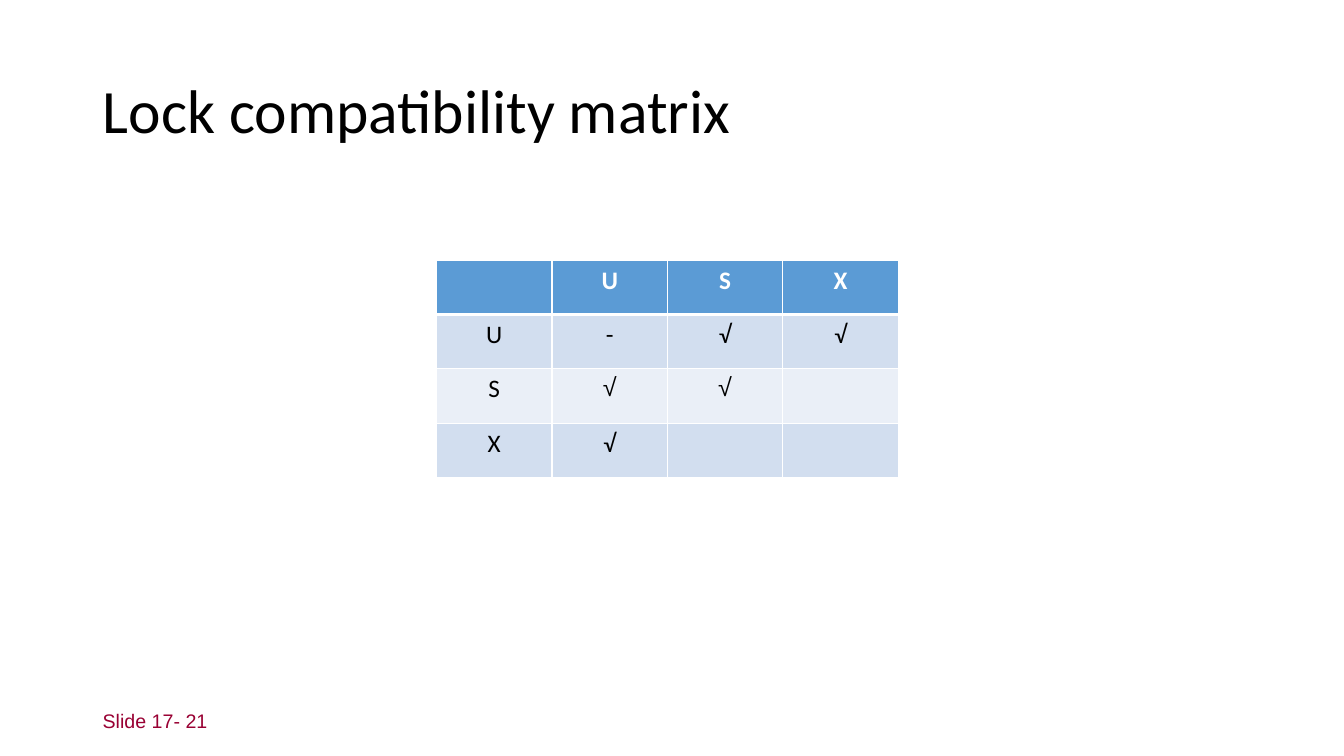
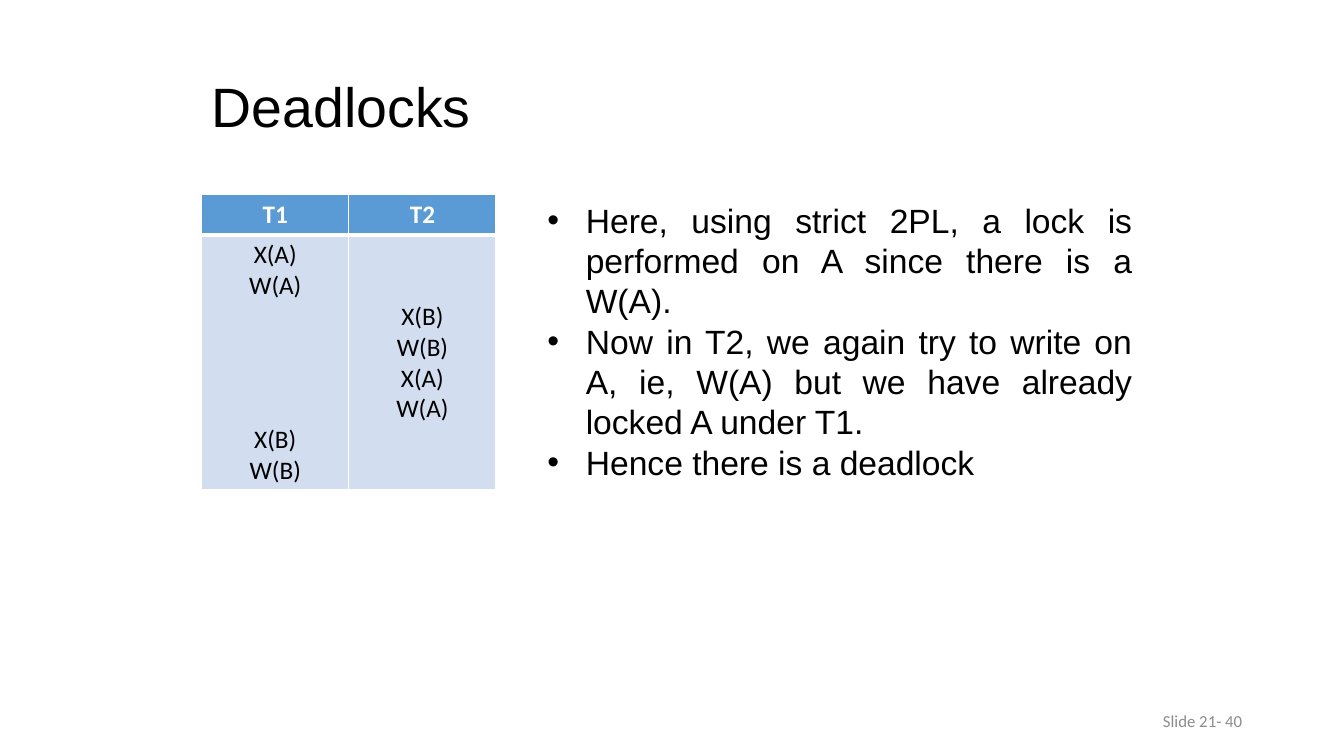
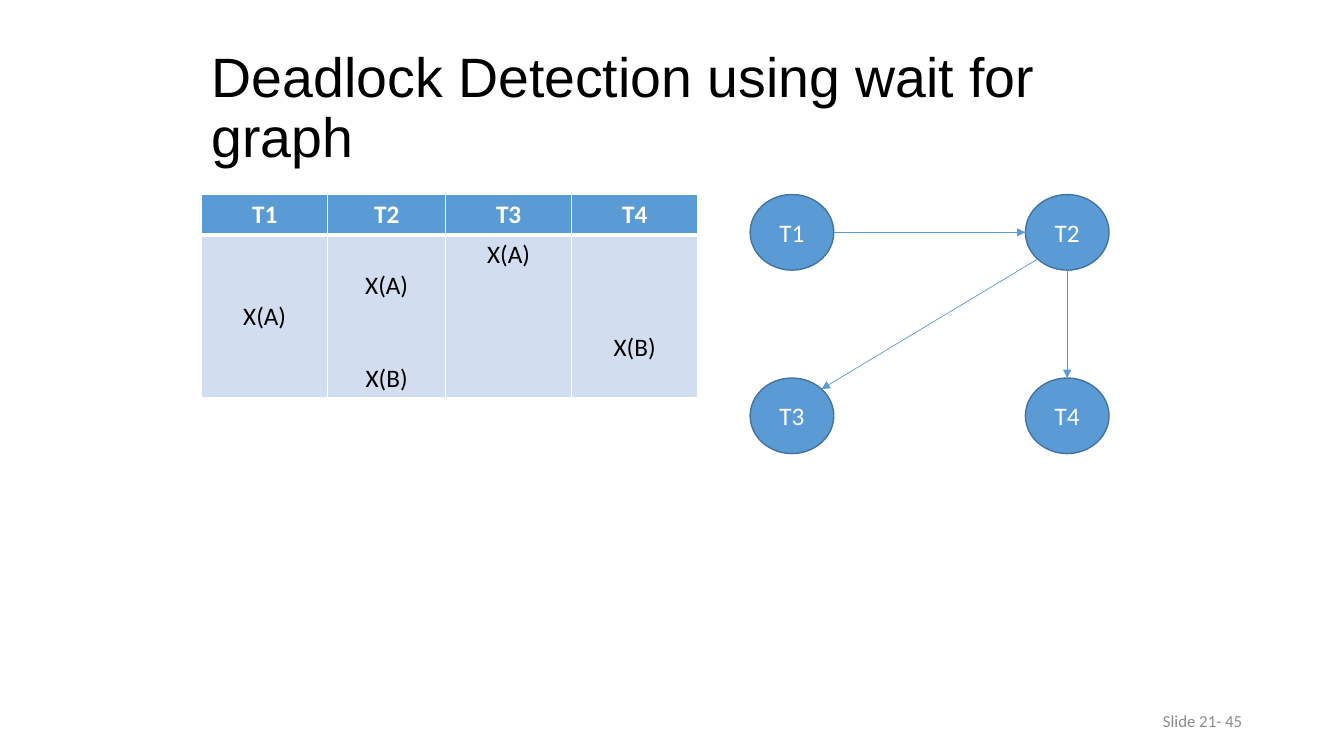
import math
from dataclasses import dataclass

from lxml import etree
from pptx import Presentation
from pptx.dml.color import RGBColor
from pptx.enum import shapes, text
from pptx.oxml import ns
from pptx.util import Inches, Pt


@dataclass(frozen=True)
class Theme:
    black: str = "000000"
    white: str = "FFFFFF"
    blue: str = "5B9BD5"
    outline: str = "43739E"
    dark_band: str = "D2DEEF"
    light_band: str = "EAEFF7"
    maroon: str = "990033"
    grey: str = "8C8C8C"
    sans: str = "Calibri"
    plain: str = "Arial"
    table_size: float = 18
    body_size: float = 24
    table_line: float = 22


theme = Theme()
Align = text.PP_ALIGN
Anchor = text.MSO_ANCHOR


def write(frame, lines, size=theme.table_size, font=theme.sans, color=theme.black,
          bold=False, align=Align.LEFT, anchor=Anchor.TOP, spacing=1.0,
          bullet=None, gaps=()):
    """Fill a text frame with one paragraph per line; gaps are points before each line."""
    frame.word_wrap = True
    frame.vertical_anchor = anchor
    for index, line in enumerate(lines):
        para = frame.paragraphs[0] if index == 0 else frame.add_paragraph()
        para.alignment = align
        para.line_spacing = spacing
        para.space_before = Pt(gaps[index] if gaps else 0)
        if bullet:
            props = para._p.get_or_add_pPr()
            props.set("marL", str(Inches(0.38)))
            props.set("indent", str(-Inches(0.38)))
            etree.SubElement(props, ns.qn("a:buFont"), typeface=theme.plain)
            etree.SubElement(props, ns.qn("a:buChar"), char=bullet)
        span = para.add_run()
        span.text = line
        span.font.size = Pt(size)
        span.font.name = font
        span.font.bold = bold
        span.font.color.rgb = RGBColor.from_string(color)


def add_grid(page, left, top, widths, heights, headings):
    """Add a banded table with white rules and a heading row."""
    frame = page.shapes.add_table(len(heights), len(widths), Inches(left), Inches(top),
                                  Inches(sum(widths)), Inches(sum(heights)))
    table = frame.table
    for column, width in zip(table.columns, widths):
        column.width = Inches(width)
    for number, (row, height) in enumerate(zip(table.rows, heights)):
        row.height = Inches(height)
        band = theme.dark_band if number % 2 else theme.light_band
        for cell in row.cells:
            cell.fill.solid()
            cell.fill.fore_color.rgb = RGBColor.from_string(band if number else theme.blue)
            for place, side in enumerate("LRTB"):
                thick = (number, side) in ((0, "B"), (1, "T"))
                rule = etree.Element(ns.qn(f"a:ln{side}"), w=str(Pt(3 if thick else 1)))
                fill = etree.SubElement(rule, ns.qn("a:solidFill"))
                etree.SubElement(fill, ns.qn("a:srgbClr"), val=theme.white)
                cell._tc.get_or_add_tcPr().insert(place, rule)
    for cell, heading in zip(table.rows[0].cells, headings):
        if heading:
            write(cell.text_frame, [heading], color=theme.white, bold=True, align=Align.CENTER)
    return table


deck = Presentation()
deck.slide_width, deck.slide_height = Inches(13.33), Inches(7.5)
TITLE_AND_BODY, TITLE_ONLY = deck.slide_layouts[1], deck.slide_layouts[5]

# Titles and footers
wide_title = dict(box=(0.92, 0.4, 11.5, 1.45), size=44, font=theme.sans, spacing=0.9)
inner_title = dict(box=(2, 0.76, 9.33, 0.64), size=39.6, font=theme.plain, spacing=Pt(43))
left_footer = dict(box=(0.92, 6.95, 3, 0.4), size=14, font=theme.plain, color=theme.maroon)
right_footer = dict(box=(9.42, 6.95, 3, 0.4), size=12, color=theme.grey, align=Align.RIGHT)
outline = [
    (TITLE_ONLY, "Lock compatibility matrix", wide_title, "Slide 17- 21", left_footer),
    (TITLE_AND_BODY, "Deadlocks", inner_title, "Slide 21- 40", right_footer),
    (TITLE_ONLY, "Deadlock Detection using wait for graph", inner_title,
     "Slide 21- 45", right_footer),
]
pages = []
for layout, title, title_style, footer, footer_style in outline:
    page = deck.slides.add_slide(layout)
    footer_box = page.shapes.add_textbox(*map(Inches, footer_style["box"]))
    title_box = page.shapes.title
    title_box.left, title_box.top, title_box.width, title_box.height = map(
        Inches, title_style["box"])
    title_box.text_frame.auto_size = text.MSO_AUTO_SIZE.NONE
    for box, words, style in ((title_box, title, title_style),
                              (footer_box, footer, footer_style)):
        style = {key: value for key, value in style.items() if key != "box"}
        write(box.text_frame, [words], anchor=Anchor.MIDDLE, **style)
    pages.append(page)
matrix_page, deadlock_page, graph_page = pages

# Lock compatibility matrix
modes = ["U", "S", "X"]
compatible = [["-", "√", "√"], ["√", "√", ""], ["√", "", ""]]
matrix = add_grid(matrix_page, 4.33, 2.58, [1.145] * 4, [0.54] * 4, [""] + modes)
for number, (mode, marks) in enumerate(zip(modes, compatible), 1):
    for column, entry in enumerate([mode] + marks):
        if entry:
            mark_font = theme.plain if mode == "S" and column else theme.sans
            write(matrix.cell(number, column).text_frame, [entry], font=mark_font,
                  align=Align.CENTER)

# Schedules: each transaction maps a time step to its operation
deadlock_schedule = {
    "T1": {0: "X(A)", 1: "W(A)", 6: "X(B)", 7: "W(B)"},
    "T2": {2: "X(B)", 3: "W(B)", 4: "X(A)", 5: "W(A)"},
}
graph_schedule = {
    "T1": {2: "X(A)"},
    "T2": {1: "X(A)", 4: "X(B)"},
    "T3": {0: "X(A)"},
    "T4": {3: "X(B)"},
}
for page, schedule, widths, body_height in (
        (deadlock_page, deadlock_schedule, [1.46, 1.46], 2.5),
        (graph_page, graph_schedule, [1.25, 1.17, 1.25, 1.25], 1.6)):
    table = add_grid(page, 2, 1.93, widths, [0.4, body_height], schedule)
    for cell, operations in zip(table.rows[1].cells, schedule.values()):
        steps = list(operations)
        gaps = [0] + [(later - step - 1) * theme.table_line
                      for step, later in zip(steps, steps[1:])]
        cell.margin_top = Inches(0.05) + Pt(steps[0] * theme.table_line)
        write(cell.text_frame, operations.values(), align=Align.CENTER, gaps=gaps)

# Deadlock explanation
explanation = deadlock_page.placeholders[1]
explanation.left, explanation.top, explanation.width, explanation.height = map(
    Inches, (5.33, 1.93, 6, 2.93))
explanation.text_frame.auto_size = text.MSO_AUTO_SIZE.NONE
write(explanation.text_frame, [
    "Here, using strict 2PL, a lock is performed on A since there is a W(A).",
    "Now in T2, we again try to write on A, ie, W(A) but we have already locked A under T1.",
    "Hence there is a deadlock",
], size=theme.body_size, font=theme.plain, align=Align.JUSTIFY, bullet="•")

# Wait-for graph
node_width, node_height = 0.83, 0.75
nodes = {"T1": (7.44, 1.93), "T2": (10.17, 1.93), "T3": (7.44, 3.75), "T4": (10.17, 3.75)}
for name, (left, top) in nodes.items():
    node = graph_page.shapes.add_shape(shapes.MSO_SHAPE.OVAL, Inches(left), Inches(top),
                                       Inches(node_width), Inches(node_height))
    node.shadow.inherit = False
    node.fill.solid()
    node.fill.fore_color.rgb = RGBColor.from_string(theme.blue)
    node.line.color.rgb = RGBColor.from_string(theme.outline)
    node.line.width = Pt(1)
    write(node.text_frame, [name], color=theme.white, align=Align.CENTER,
          anchor=Anchor.MIDDLE)

# Each arrow leaves at an angle and arrives on the opposite side
for waiting, holding, angle in (("T1", "T2", 0), ("T2", "T4", 90), ("T2", "T3", 135)):
    ends = []
    for name, degrees in ((waiting, angle), (holding, angle + 180)):
        left, top = nodes[name]
        turn = math.radians(degrees)
        ends += [Inches(left + node_width / 2 * (1 + math.cos(turn))),
                 Inches(top + node_height / 2 * (1 + math.sin(turn)))]
    arrow = graph_page.shapes.add_connector(shapes.MSO_CONNECTOR.STRAIGHT, *ends)
    arrow.line.color.rgb = RGBColor.from_string(theme.blue)
    arrow.line.width = Pt(0.5)
    etree.SubElement(arrow.line._get_or_add_ln(), ns.qn("a:tailEnd"), type="triangle")
    etree.SubElement(arrow._element.spPr, ns.qn("a:effectLst"))

deck.save("out.pptx")
